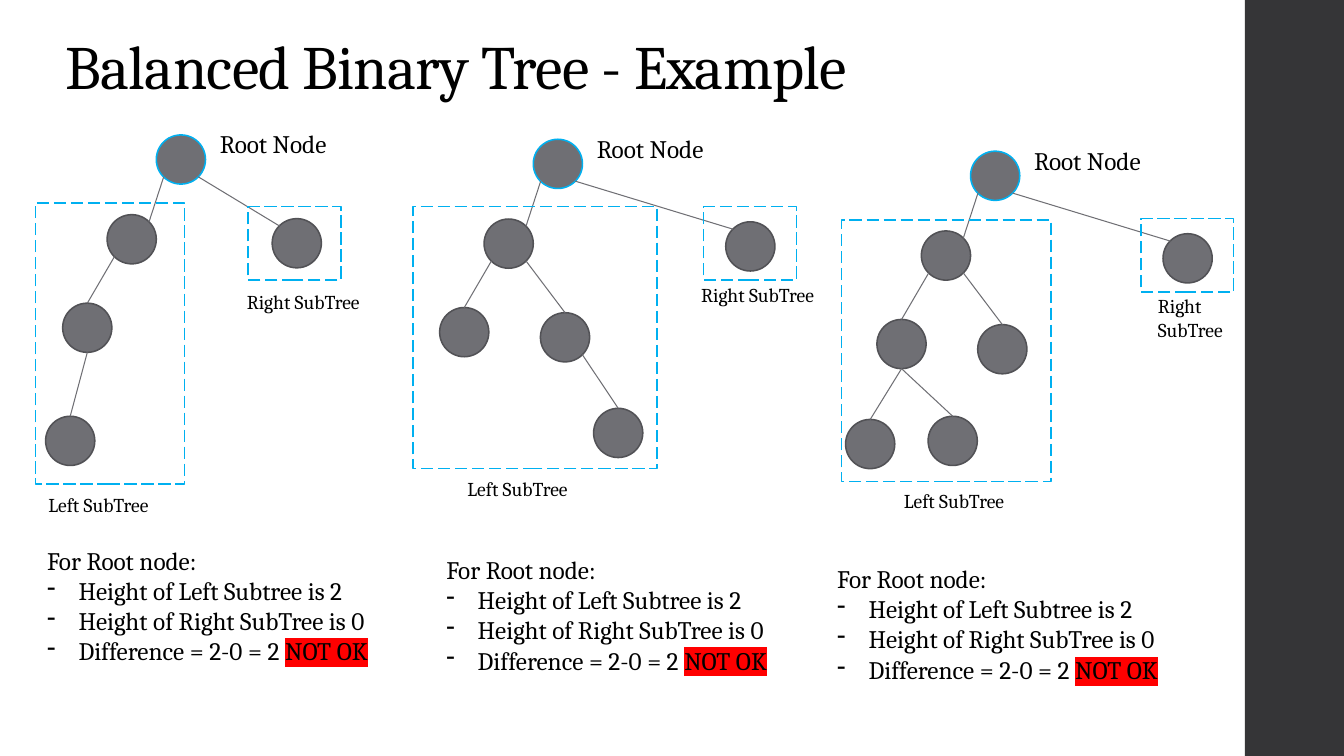
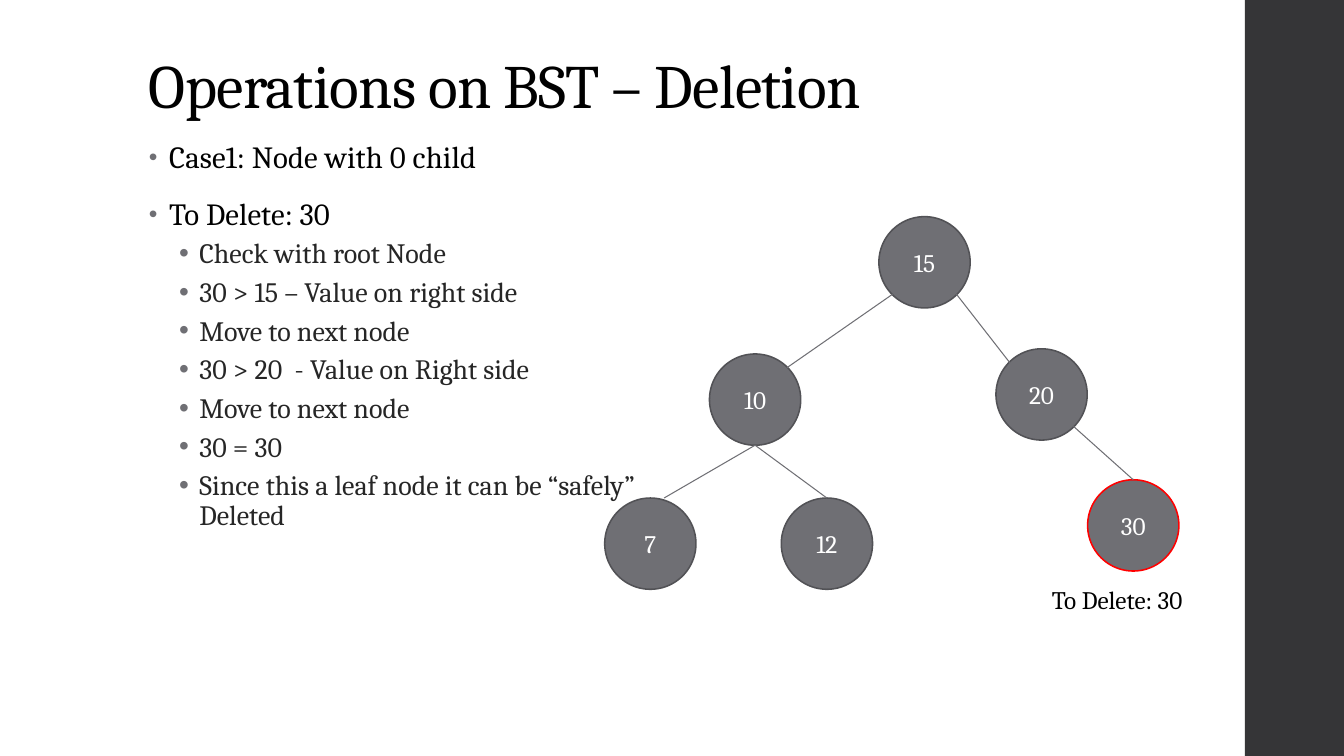
from lxml import etree
from pptx import Presentation
from pptx.dml.color import RGBColor
from pptx.enum.dml import MSO_LINE
from pptx.enum.shapes import MSO_CONNECTOR, MSO_SHAPE
from pptx.enum.text import MSO_ANCHOR, MSO_AUTO_SIZE, PP_ALIGN
from pptx.oxml.ns import qn
from pptx.util import Cm, Pt

LONG_DASH = MSO_LINE.LONG_DASH
STRAIGHT = MSO_CONNECTOR.STRAIGHT
RECTANGLE, OVAL = MSO_SHAPE.RECTANGLE, MSO_SHAPE.OVAL
BOTTOM_ANCHOR, MIDDLE_ANCHOR = MSO_ANCHOR.BOTTOM, MSO_ANCHOR.MIDDLE
NO_AUTOFIT = MSO_AUTO_SIZE.NONE
LEFT, CENTER = PP_ALIGN.LEFT, PP_ALIGN.CENTER

BLACK = RGBColor(0x00, 0x00, 0x00)
WHITE = RGBColor(0xFF, 0xFF, 0xFF)
DARK_TEXT = RGBColor(0x26, 0x26, 0x26)
BAND = RGBColor(0x35, 0x35, 0x37)
GREY = RGBColor(0x6F, 0x6F, 0x74)
OUTLINE = RGBColor(0x52, 0x52, 0x56)
BLUE = RGBColor(0x00, 0xB0, 0xF0)
RED = RGBColor(0xFF, 0x00, 0x00)

FONT = "Cambria"
TITLE_ONLY, TITLE_AND_CONTENT = 5, 1
SMALL_NODE, LARGE_NODE = 1.24, 2.3

# Points on a circle, as fractions of its bounding box
TOP, BOTTOM = (0.5, 0), (0.5, 1)
TOP_LEFT, TOP_RIGHT = (0.15, 0.15), (0.85, 0.15)
BOTTOM_LEFT, BOTTOM_RIGHT = (0.15, 0.85), (0.85, 0.85)
TOP_OFF_CENTER = (0.65, 0)

# Offsets from the root, in cm, that every small tree shares
COMMON_NODES = {"left": (-1.24, 2.01), "left child": (-2.36, 4.24)}
COMMON_EDGES = [
    ("root", BOTTOM_LEFT, "left", TOP_RIGHT),
    ("root", BOTTOM_RIGHT, "right", TOP_LEFT),
    ("left", BOTTOM_LEFT, "left child", TOP),
]
INNER_EDGE = ("left", BOTTOM_RIGHT, "inner child", TOP)

TREES = [
    {
        "root": (3.94, 3.4),
        "nodes": {"right": (2.92, 2.11), "leaf": (-2.79, 7.09)},
        "edges": [("left child", BOTTOM, "leaf", TOP)],
        "left box": (0.89, 5.11, 3.76, 7.09),
        "right box": (6.25, 5.21),
        "left caption": (0.97, 12.29),
        "right caption": (5.97, 7.19, "Right SubTree"),
        "note": (0.94, 13.61),
    },
    {
        "root": (13.44, 3.51),
        "nodes": {"right": (4.85, 2.08), "inner child": (0.18, 4.37),
                  "leaf": (1.52, 6.78)},
        "edges": [INNER_EDGE, ("inner child", BOTTOM_RIGHT, "leaf", TOP)],
        "left box": (10.41, 5.21, 6.15, 6.6),
        "right box": (17.73, 5.21),
        "left caption": (11.53, 11.89),
        "right caption": (17.42, 7.01, "Right SubTree"),
        "note": (11, 13.84),
    },
    {
        "root": (24.46, 3.81),
        "nodes": {"right": (4.85, 2.08), "inner child": (0.18, 4.37),
                  "left leaf": (-3.15, 6.76), "right leaf": (-1.07, 6.68)},
        "edges": [INNER_EDGE, ("left child", BOTTOM, "left leaf", TOP),
                  ("left child", BOTTOM, "right leaf", TOP)],
        "left box": (21.21, 5.54, 5.28, 6.6),
        "right box": (28.75, 5.51),
        "left caption": (22.53, 12.19),
        "right caption": (28.93, 7.29, "Right\nSubTree"),
        "note": (20.85, 14.07),
    },
]

NOTE_LINES = ["For Root node:", "Height of Left Subtree is 2",
              "Height of Right SubTree is 0", "Difference = 2-0 = 2 "]

DELETION_POINTS = [
    (0, "Case1: Node with 0 child"),
    (0, "To Delete: 30"),
    (1, "Check with root Node"),
    (1, "30 > 15 – Value on right side"),
    (1, "Move to next node"),
    (1, "30 > 20  - Value on Right side"),
    (1, "Move to next node"),
    (1, "30 = 30"),
    (1, "Since this a leaf node it can be “safely” Deleted"),
]

SEARCH_NODES = {"15": (22.15, 5.46), "10": (17.88, 8.92), "20": (25.1, 8.79),
                "30": (27.41, 12.09), "7": (15.24, 12.55), "12": (19.69, 12.55)}
SEARCH_EDGES = [
    ("15", BOTTOM_LEFT, "10", TOP_RIGHT),
    ("15", BOTTOM_RIGHT, "20", TOP_LEFT),
    ("20", BOTTOM_RIGHT, "30", TOP),
    ("10", BOTTOM, "7", TOP_OFF_CENTER),
    ("10", BOTTOM, "12", TOP),
]


def format_runs(paragraph, size, color=BLACK, spacing=0):
    """Format every run; spacing is in hundredths of a point."""
    for run in paragraph.runs:
        run.font.name = FONT
        run.font.size = Pt(size)
        run.font.color.rgb = color
        if spacing:
            run.font._element.set("spc", str(spacing))


def set_bullet(paragraph, character, margin, hanging, color=None, percent=100):
    properties = paragraph._p.get_or_add_pPr()
    properties.set("marL", str(Cm(margin)))
    properties.set("indent", str(-Cm(hanging)))
    if color is not None:
        bullet_color = etree.SubElement(properties, qn("a:buClr"))
        etree.SubElement(bullet_color, qn("a:srgbClr"), val=str(color))
    etree.SubElement(properties, qn("a:buSzPct"), val=str(percent * 1000))
    etree.SubElement(properties, qn("a:buChar"), char=character)


def highlight(run, color):
    """Mark a run whose font colour is already set."""
    mark = etree.Element(qn("a:highlight"))
    etree.SubElement(mark, qn("a:srgbClr"), val=str(color))
    run.font._element.find(qn("a:solidFill")).addnext(mark)


def place(shape, left, top, width, height):
    shape.left, shape.top = Cm(left), Cm(top)
    shape.width, shape.height = Cm(width), Cm(height)


def add_plain_shape(slide, kind, box, fill=None, line=None):
    shape = slide.shapes.add_shape(kind, *(Cm(length) for length in box))
    shape.shadow.inherit = False
    if fill is None:
        shape.fill.background()
    else:
        shape.fill.solid()
        shape.fill.fore_color.rgb = fill
    if line is None:
        shape.line.fill.background()
    else:
        shape.line.color.rgb = line
        shape.line.width = Pt(1.1)
    return shape


def add_slide(presentation, layout, title, left, top):
    """Add a slide with the side band and the shared title style."""
    slide = presentation.slides.add_slide(presentation.slide_layouts[layout])
    add_plain_shape(slide, RECTANGLE, (31.37, 0, 2.5, 19.05), BAND)
    place(slide.shapes.title, left, top, 26.92, 2.18)
    frame = slide.shapes.title.text_frame
    frame.text = title
    frame.auto_size = NO_AUTOFIT
    frame.vertical_anchor = BOTTOM_ANCHOR
    paragraph = frame.paragraphs[0]
    paragraph.alignment = LEFT
    paragraph.line_spacing = 0.9
    format_runs(paragraph, 44, spacing=-50)
    return slide


def add_text(slide, box, text, size):
    text_box = slide.shapes.add_textbox(*(Cm(length) for length in box))
    frame = text_box.text_frame
    frame.word_wrap = True
    frame.text = text
    for paragraph in frame.paragraphs:
        format_runs(paragraph, size)
    return frame


def add_node(slide, left, top, diameter, line=OUTLINE, label=""):
    node = add_plain_shape(slide, OVAL, (left, top, diameter, diameter), GREY, line)
    if label:
        frame = node.text_frame
        frame.text = label
        frame.vertical_anchor = MIDDLE_ANCHOR
        frame.paragraphs[0].alignment = CENTER
        format_runs(frame.paragraphs[0], 18, WHITE)
    return node


def point_on(node, site):
    across, down = site
    return int(node.left + across * node.width), int(node.top + down * node.height)


def add_edges(slide, nodes, edges):
    for parent, start, child, end in edges:
        edge = slide.shapes.add_connector(
            STRAIGHT, *point_on(nodes[parent], start), *point_on(nodes[child], end))
        edge.line.color.rgb = GREY
        edge.line.width = Pt(0.75)
        etree.SubElement(edge._element.spPr, qn("a:effectLst"))


def add_subtree_box(slide, box):
    outline = add_plain_shape(slide, RECTANGLE, box, line=BLUE)
    outline.line.dash_style = LONG_DASH


def add_height_note(slide, left, top):
    frame = add_text(slide, (left, top, 10.06, 3.33), "\n".join(NOTE_LINES), 18)
    for paragraph in frame.paragraphs[1:]:
        set_bullet(paragraph, "-", 0.79, 0.79)
    last = frame.paragraphs[-1]
    verdict = last.add_run()
    verdict.text = "NOT OK"
    format_runs(last, 18)
    highlight(verdict, RED)


def add_small_tree(slide, tree):
    root_left, root_top = tree["root"]
    nodes = {"root": add_node(slide, root_left, root_top, SMALL_NODE, BLUE)}
    for name, (right, down) in {**COMMON_NODES, **tree["nodes"]}.items():
        nodes[name] = add_node(slide, root_left + right, root_top + down, SMALL_NODE)
    add_edges(slide, nodes, COMMON_EDGES + tree["edges"])
    add_text(slide, (root_left + 1.35, root_top - 0.28, 3.58, 1.02), "Root Node", 18)
    add_subtree_box(slide, tree["left box"])
    add_subtree_box(slide, (*tree["right box"], 2.34, 1.85))
    add_text(slide, (*tree["left caption"], 3.56, 0.86), "Left SubTree", 14)
    left, top, caption = tree["right caption"]
    add_text(slide, (left, top, 3.89, 0.86), caption, 14)
    add_height_note(slide, *tree["note"])


def fill_deletion_points(body):
    place(body, 3.5, 3.4, 12.9, 14.63)
    frame = body.text_frame
    frame.auto_size = NO_AUTOFIT
    frame.text = "\n".join(text for _, text in DELETION_POINTS)
    for paragraph, (level, _) in zip(frame.paragraphs, DELETION_POINTS):
        paragraph.level = level
        if level == 0:
            set_bullet(paragraph, "•", 0.51, 0.51, GREY, 80)
            spacing, before, after = 0.95, 14, 2
            format_runs(paragraph, 22, spacing=10)
        else:
            set_bullet(paragraph, "•", 1.27, 0.51, GREY)
            spacing, before, after = 0.9, 3, 3
            format_runs(paragraph, 20, DARK_TEXT)
        paragraph.line_spacing = spacing
        paragraph.space_before = Pt(before)
        paragraph.space_after = Pt(after)
    frame.paragraphs[0].space_before = Pt(0)


def add_balance_slide(presentation):
    slide = add_slide(presentation, TITLE_ONLY,
                      "Balanced Binary Tree - Example", 1.4, 0.53)
    for tree in TREES:
        add_small_tree(slide, tree)


def add_deletion_slide(presentation):
    slide = add_slide(presentation, TITLE_AND_CONTENT,
                      "Operations on BST – Deletion", 3.5, 1.02)
    fill_deletion_points(slide.placeholders[1])
    nodes = {
        value: add_node(slide, left, top, LARGE_NODE,
                        RED if value == "30" else OUTLINE, value)
        for value, (left, top) in SEARCH_NODES.items()
    }
    add_edges(slide, nodes, SEARCH_EDGES)
    add_text(slide, (26.26, 14.6, 4.6, 1.02), "To Delete: 30", 18)


def main():
    presentation = Presentation()
    presentation.slide_width, presentation.slide_height = Cm(33.87), Cm(19.05)
    add_balance_slide(presentation)
    add_deletion_slide(presentation)
    presentation.save("out.pptx")


if __name__ == "__main__":
    main()
